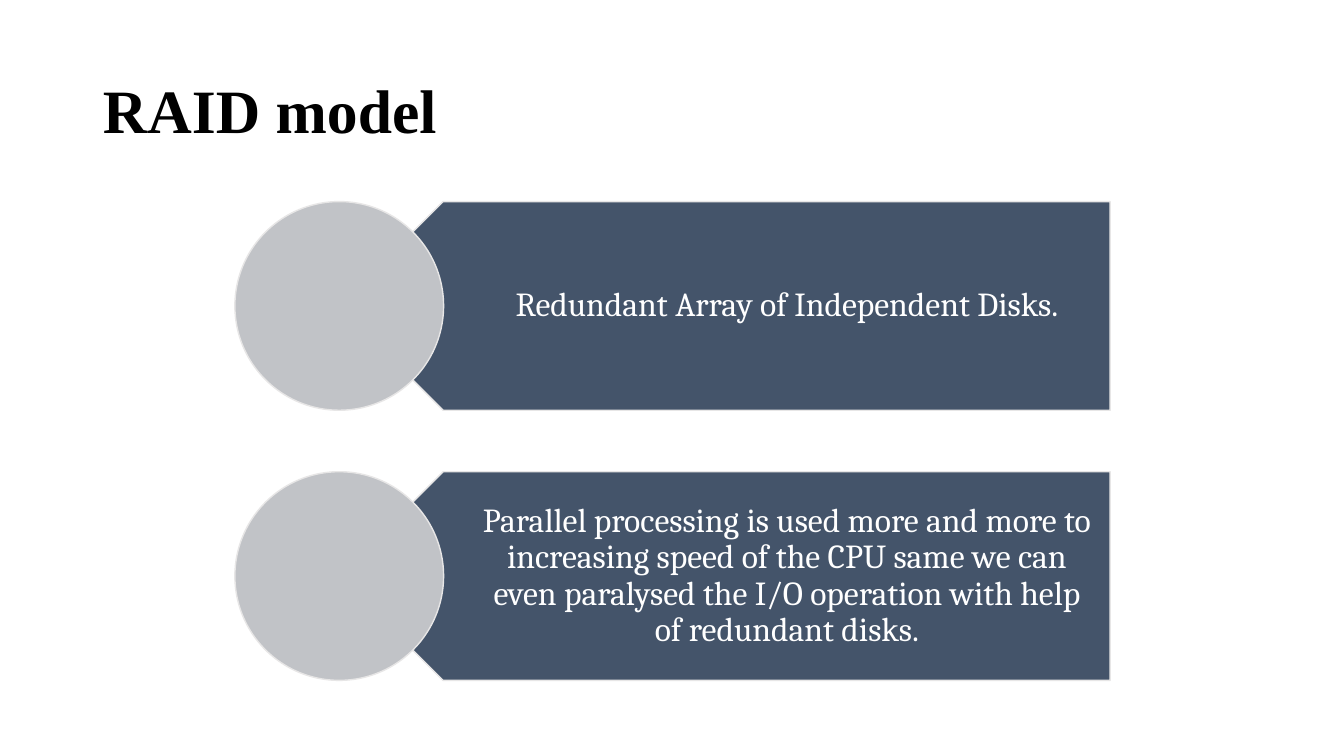
"""Build the RAID model slide with two picture-accent banners."""
from pptx import Presentation
from pptx.dml.color import RGBColor
from pptx.enum.shapes import MSO_SHAPE as SHAPE
from pptx.enum.text import MSO_ANCHOR as ANCHOR, MSO_AUTO_SIZE as AUTO, PP_ALIGN as ALIGN
from pptx.util import Inches, Pt


def rgb(value):
    return RGBColor.from_string(value)


def add_outlined(s, kind, x, y, w, h, fill):
    sp = s.shapes.add_shape(kind, Inches(x), Inches(y), Inches(w), Inches(h))
    sp.shadow.inherit = False
    sp.fill.solid()
    sp.fill.fore_color.rgb = rgb(fill)
    sp.line.color.rgb = rgb("E7E6E6")
    sp.line.width = Pt(1)
    return sp


prs = Presentation()
prs.slide_width, prs.slide_height = Inches(13.33), Inches(7.5)
s = prs.slides.add_slide(prs.slide_layouts[5])

title = s.shapes.title
title.left, title.top = Inches(0.92), Inches(0.4)
title.width, title.height = Inches(11.5), Inches(1.45)
tf = title.text_frame
tf.auto_size = AUTO.NONE
tf.vertical_anchor = ANCHOR.MIDDLE
p = tf.paragraphs[0]
p.alignment = ALIGN.LEFT
p.line_spacing = 0.9
r = p.add_run()
r.text = "RAID model"
r.font.name = "Times New Roman"
r.font.size = Pt(44)
r.font.bold = True
r.font.color.rgb = rgb("000000")

points = [
    "Redundant Array of Independent Disks.",
    "Parallel processing is used more and more to increasing speed of the CPU "
    "same we can even paralysed the I/O operation with help of redundant disks.",
]
top, pitch, size = 2, 2.68, 2.07

for i, point in enumerate(points):
    y = top + i * pitch
    banner = add_outlined(s, SHAPE.PENTAGON, 3.36, y, 7.65, size, "44546A")
    banner.rotation = 180

    label = s.shapes.add_textbox(Inches(3.88), Inches(y), Inches(7.13), Inches(size))
    tf = label.text_frame
    tf.word_wrap = True
    tf.vertical_anchor = ANCHOR.MIDDLE
    tf.margin_left, tf.margin_right = Inches(0.91), Inches(0.19)
    tf.margin_top = tf.margin_bottom = Inches(0.1)
    p = tf.paragraphs[0]
    p.alignment = ALIGN.CENTER
    p.line_spacing = 0.9
    r = p.add_run()
    r.text = point
    r.font.name = "Cambria"
    r.font.size = Pt(24)
    r.font.color.rgb = rgb("FFFFFF")

    add_outlined(s, SHAPE.OVAL, 2.33, y, size, size, "C1C3C7")

prs.save("out.pptx")
